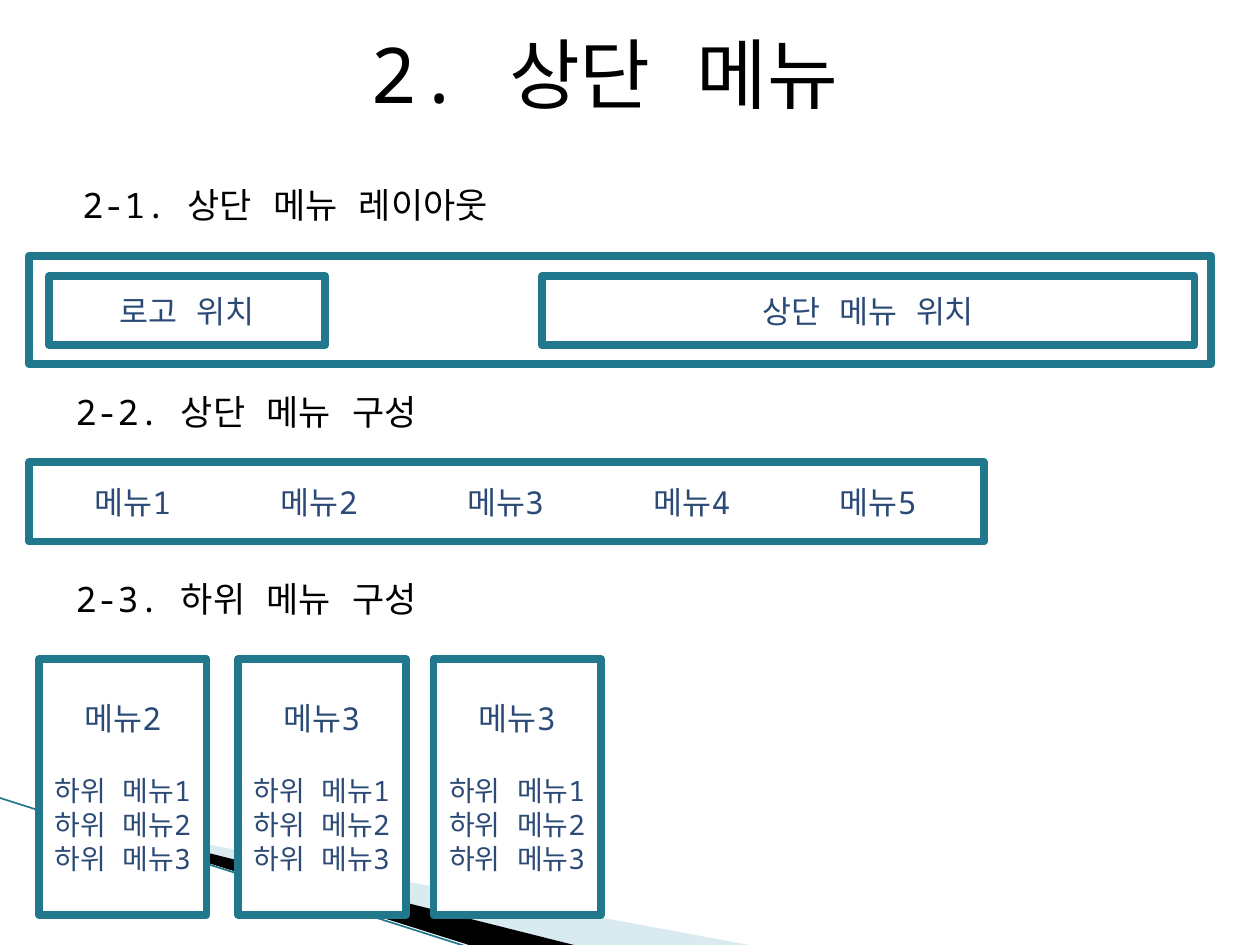
from lxml import etree
from pptx import Presentation
from pptx.dml.color import RGBColor
from pptx.enum.shapes import MSO_CONNECTOR as Conn, MSO_SHAPE as Shape
from pptx.enum.text import MSO_ANCHOR as Anchor, PP_ALIGN as Align
from pptx.oxml.ns import qn
from pptx.util import Pt

FONT = "Noto Sans Mono"
WHITE = RGBColor(0xFF, 0xFF, 0xFF)
BLACK = RGBColor(0, 0, 0)
TEAL = RGBColor(0x21, 0x78, 0x8D)
NAVY = RGBColor(0x2B, 0x4A, 0x76)
PALE = RGBColor(0xA0, 0xCB, 0xDC)

HEADS = [
    ("2. 상단 메뉴", 44, (39.6, 11.5, 612, 67.7)),
    ("2-1. 상단 메뉴 레이아웃", 20, (22.3, 101.5, 281.5, 39.6)),
    ("2-2. 상단 메뉴 구성", 20, (28.1, 219.6, 225.4, 39.6)),
    ("2-3. 하위 메뉴 구성", 20, (28.1, 326.2, 225.4, 39.6)),
]
FRAME = (16.6, 146.2, 675.4, 61.9)
SLOTS = [
    ("로고 위치", (28.1, 157.7, 157.7, 39.6)),
    ("상단 메뉴 위치", (309.6, 157.7, 373, 39.6)),
]
MENUS = ["메뉴1", "메뉴2", "메뉴3", "메뉴4", "메뉴5"]
BAR = (16.6, 264.2, 545.8, 45.4)
TAB, STEP = 52.2, 106.5
CARDS = [("메뉴2", 22.3), ("메뉴3", 136.1), ("메뉴3", 247.7)]
SUBS = ["하위 메뉴1", "하위 메뉴2", "하위 메뉴3"]
CARD_Y, CARD_W, CARD_H = 376.6, 95.8, 146.2
BANDS = [
    (PALE, 40, [(39.6, 468.5), (428, 540), (328, 540), (39.6, 468)]),
    (BLACK, 100, [(38.2, 467.3), (328, 540), (267.8, 540), (38.9, 468)]),
]
RAY = (0, 456, 267, 541)

deck = Presentation()
deck.slide_width, deck.slide_height = Pt(720), Pt(540)
slide = deck.slides.add_slide(deck.slide_layouts[6])
shapes = slide.shapes


def style(para, size, color):
    para.alignment = Align.CENTER
    for run in para.runs:
        font = run.font
        font.name, font.size = FONT, Pt(size)
        font.color.rgb = color
        etree.SubElement(run._r.get_or_add_rPr(), qn("a:ea"), typeface=FONT)


def add_box(area, lines=()):
    box = shapes.add_shape(Shape.RECTANGLE, *map(Pt, area))
    box.shadow.inherit = False
    box.fill.solid()
    box.fill.fore_color.rgb = WHITE
    box.line.color.rgb = TEAL
    box.line.width = Pt(4.33)
    etree.SubElement(box.line._get_or_add_ln(), qn("a:round"))
    frame = box.text_frame
    frame.word_wrap = True
    frame.vertical_anchor = Anchor.MIDDLE
    frame.text = "\n".join(lines)
    for i, para in enumerate(frame.paragraphs):
        style(para, 16 if i else 18, NAVY)
    return frame.paragraphs[0]


for color, alpha, points in BANDS:
    path = shapes.build_freeform(*points[0], scale=Pt(1))
    path.add_line_segments(points[1:], close=True)
    band = path.convert_to_shape()
    band.shadow.inherit = False
    band.line.fill.background()
    band.fill.solid()
    band.fill.fore_color.rgb = color
    tint = band.fill._xPr.find(".//" + qn("a:srgbClr"))
    etree.SubElement(tint, qn("a:alpha"), val=str(alpha * 1000))

ray = shapes.add_connector(Conn.STRAIGHT, *map(Pt, RAY))
ray.line.color.rgb = TEAL
ray.line.width = Pt(0.95)
etree.SubElement(ray._element.spPr, qn("a:effectLst"))

add_box(FRAME)
for text, area in SLOTS:
    add_box(area, [text])

row = add_box(BAR, ["".join("\t" + name for name in MENUS)])
row.alignment = Align.LEFT
tabs = etree.SubElement(row._p.get_or_add_pPr(), qn("a:tabLst"))
for i in range(len(MENUS)):
    etree.SubElement(tabs, qn("a:tab"), pos=str(Pt(TAB + i * STEP)), algn="ctr")

for name, left in CARDS:
    top = add_box((left, CARD_Y, CARD_W, CARD_H), [name] + SUBS)
    top.space_after = Pt(21)

for text, size, area in HEADS:
    frame = shapes.add_textbox(*map(Pt, area)).text_frame
    frame.word_wrap = True
    frame.text = text
    style(frame.paragraphs[0], size, BLACK)

deck.save("out.pptx")
